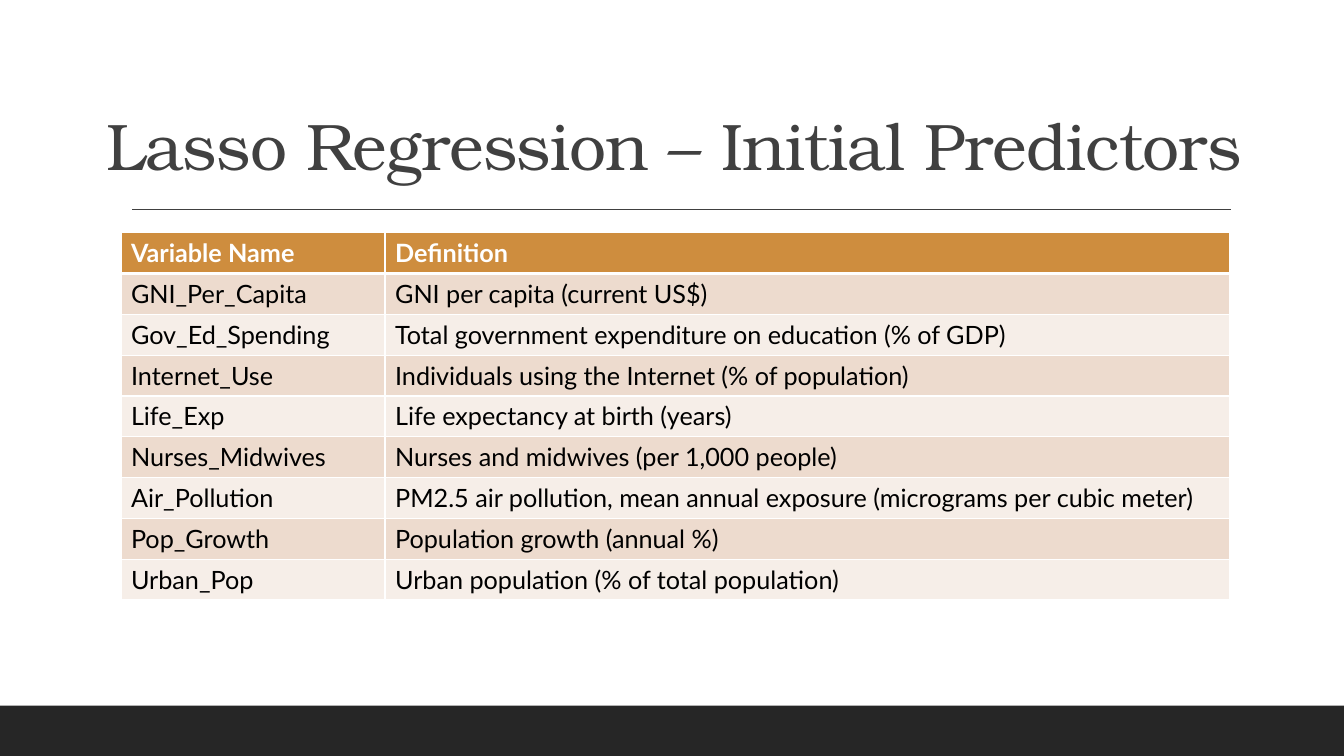
import pptx
import pptx.dml.color
import pptx.enum.shapes
import pptx.enum.text
import pptx.oxml
import pptx.oxml.ns
import pptx.util
from lxml import etree

RGBColor = pptx.dml.color.RGBColor
WHITE = RGBColor(0xFF, 0xFF, 0xFF)
BLACK = RGBColor(0x00, 0x00, 0x00)
CHARCOAL = RGBColor(0x26, 0x26, 0x26)
GRAY = RGBColor(0x40, 0x40, 0x40)
OCHRE = RGBColor(0xCE, 0x8D, 0x3E)
BANDS = (RGBColor(0xED, 0xDB, 0xCE), RGBColor(0xF6, 0xEE, 0xE8))

# The slide is a grid of 80 columns by 45 rows.
SLIDE_WIDTH = pptx.util.Inches(13.33)
SLIDE_HEIGHT = pptx.util.Inches(7.5)
GRID_COLUMNS = 80
GRID_ROWS = 45

PREDICTORS = [
    ("Variable Name", "Definition"),
    ("GNI_Per_Capita", "GNI per capita (current US$)"),
    ("Gov_Ed_Spending", "Total government expenditure on education (% of GDP)"),
    ("Internet_Use", "Individuals using the Internet (% of population)"),
    ("Life_Exp", "Life expectancy at birth (years)"),
    ("Nurses_Midwives", "Nurses and midwives (per 1,000 people)"),
    ("Air_Pollution", "PM2.5 air pollution, mean annual exposure (micrograms per cubic meter)"),
    ("Pop_Growth", "Population growth (annual %)"),
    ("Urban_Pop", "Urban population (% of total population)"),
]


def columns(count):
    return round(SLIDE_WIDTH * count / GRID_COLUMNS)


def rows(count):
    return round(SLIDE_HEIGHT * count / GRID_ROWS)


def area(left, top, width, height):
    """Turn grid units into a position and size."""
    return columns(left), rows(top), columns(width), rows(height)


def write_text(frame, text, *, font, size, color, bold=False,
               line_spacing=None, letter_spacing=None):
    paragraph = frame.paragraphs[0]
    paragraph.line_spacing = line_spacing
    run = paragraph.add_run()
    run.text = text
    run.font.name = font
    run.font.size = pptx.util.Pt(size)
    run.font.bold = bold
    run.font.color.rgb = color
    if letter_spacing is not None:
        run.font._element.set("spc", str(round(letter_spacing * 100)))


def add_title(slide, text):
    shape = slide.shapes.add_textbox(*area(5.76, 1.74, 75.38, 9.54))
    frame = shape.text_frame
    frame.word_wrap = True
    frame.vertical_anchor = pptx.enum.text.MSO_ANCHOR.BOTTOM
    write_text(frame, text, font="TeX Gyre Bonum", size=47, color=GRAY,
               line_spacing=0.9, letter_spacing=-0.5)


def add_footer_band(slide):
    shape = slide.shapes.add_shape(
        pptx.enum.shapes.MSO_SHAPE.RECTANGLE, *area(0, 42, GRID_COLUMNS, 3))
    shape.shadow.inherit = False
    shape.fill.solid()
    shape.fill.fore_color.rgb = CHARCOAL
    shape.line.fill.background()


def add_rule(slide, left, right, height):
    connector = slide.shapes.add_connector(
        pptx.enum.shapes.MSO_CONNECTOR.STRAIGHT,
        columns(left), rows(height), columns(right), rows(height))
    connector.line.color.rgb = GRAY
    connector.line.width = pptx.util.Pt(1)
    etree.SubElement(connector._element.spPr, pptx.oxml.ns.qn("a:effectLst"))


def set_borders(cell, *, top=1, bottom=1):
    """Draw white cell borders, with widths in points."""
    properties = cell._tc.get_or_add_tcPr()
    for side, width in (("L", 1), ("R", 1), ("T", top), ("B", bottom)):
        properties.append(pptx.oxml.parse_xml(
            f'<a:ln{side} {pptx.oxml.ns.nsdecls("a")} w="{pptx.util.Pt(width)}">'
            f'<a:solidFill><a:srgbClr val="{WHITE}"/></a:solidFill></a:ln{side}>'))


def add_predictor_table(slide, left, top, column_widths, row_height):
    frame = slide.shapes.add_table(
        len(PREDICTORS), len(column_widths),
        *area(left, top, sum(column_widths), row_height * len(PREDICTORS)))
    table = frame.table
    for column, width in zip(table.columns, column_widths):
        column.width = columns(width)
    for index, texts in enumerate(PREDICTORS):
        header = index == 0
        table.rows[index].height = rows(row_height)
        for cell, text in zip(table.rows[index].cells, texts):
            set_borders(cell, top=3 if index == 1 else 1, bottom=3 if header else 1)
            cell.fill.solid()
            cell.fill.fore_color.rgb = OCHRE if header else BANDS[(index - 1) % 2]
            write_text(cell.text_frame, text, font="Lato", size=18,
                       color=WHITE if header else BLACK, bold=header)


def main():
    presentation = pptx.Presentation()
    presentation.slide_width = SLIDE_WIDTH
    presentation.slide_height = SLIDE_HEIGHT
    slide = presentation.slides.add_slide(presentation.slide_layouts[6])
    add_footer_band(slide)
    add_rule(slide, 7.86, 73.28, 12.48)
    add_title(slide, "Lasso Regression – Initial Predictors")
    add_predictor_table(slide, 7.2, 13.86, (15.72, 50.28), 2.43)
    presentation.save("out.pptx")


if __name__ == "__main__":
    main()
